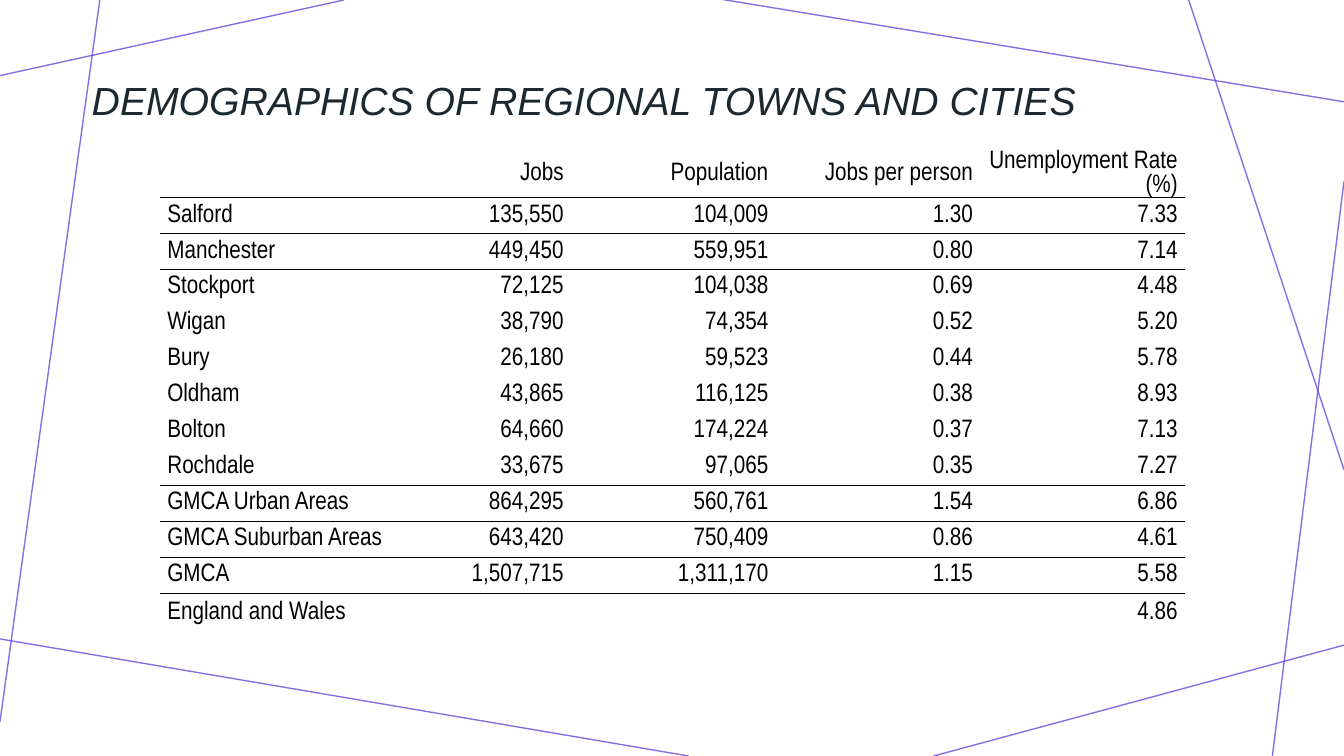
import pptx
import pptx.util
import pptx.dml.color
import pptx.enum.text
import pptx.oxml
import pptx.oxml.ns

Inches, Pt = pptx.util.Inches, pptx.util.Pt
RGBColor = pptx.dml.color.RGBColor
PP_ALIGN, MSO_ANCHOR = pptx.enum.text.PP_ALIGN, pptx.enum.text.MSO_ANCHOR
qn, NS = pptx.oxml.ns.qn, pptx.oxml.ns.nsdecls("a")

VIOLET = RGBColor(0x59, 0x2F, 0xD9)
INK = RGBColor(0x1B, 0x28, 0x30)
BLACK = RGBColor(0, 0, 0)

TITLE = "DEMOGRAPHICS OF REGIONAL TOWNS AND CITIES"
ROWS = [
    ("", "Jobs", "Population", "Jobs per person", "Unemployment Rate (%)"),
    ("Salford", "135,550", "104,009", "1.30", "7.33"),
    ("Manchester", "449,450", "559,951", "0.80", "7.14"),
    ("Stockport", "72,125", "104,038", "0.69", "4.48"),
    ("Wigan", "38,790", "74,354", "0.52", "5.20"),
    ("Bury", "26,180", "59,523", "0.44", "5.78"),
    ("Oldham", "43,865", "116,125", "0.38", "8.93"),
    ("Bolton", "64,660", "174,224", "0.37", "7.13"),
    ("Rochdale", "33,675", "97,065", "0.35", "7.27"),
    ("GMCA Urban Areas", "864,295", "560,761", "1.54", "6.86"),
    ("GMCA Suburban Areas", "643,420", "750,409", "0.86", "4.61"),
    ("GMCA", "1,507,715", "1,311,170", "1.15", "5.58"),
    ("England and Wales", "", "", "", "4.86"),
]
RULED_BELOW = {0, 1, 8, 9, 10, 11}
COL_WIDTHS = [2.8, 1.27, 2.03, 2.03, 2.03]
ROW_HEIGHTS = [0.47] + [0.357] * (len(ROWS) - 2) + [0.39]
BACKDROP_LINES = [
    (3.41, 0, 0, 0.75),
    (0.99, 0, 0, 7.16),
    (6.83, 7.5, -0.05, 6.33),
    (13.33, 6.4, 9.26, 7.5),
    (13.33, 1.8, 12.62, 7.5),
    (13.33, 4.66, 11.79, 0),
    (13.33, 1.01, 7.14, -0.01),
]
TITLE_FONT = {"size": Pt(28), "name": "Arial", "italic": True, "bold": False}
CELL_FONT = {"size": Pt(18), "name": "Arial Narrow"}
CELL_FORMAT = {"margin_left": Inches(0.07), "margin_right": Inches(0.07),
               "margin_top": 0, "margin_bottom": 0,
               "vertical_anchor": MSO_ANCHOR.MIDDLE}
NO_GRID_STYLE = "{2D5ABB26-0587-4C30-8999-92F81FD0307C}"


def apply(target, values):
    """Set each named attribute on the target."""
    for name, value in values.items():
        setattr(target, name, value)


def add_backdrop_line(s, ends):
    """Draw one translucent violet line."""
    line = s.shapes.add_connector(1, *map(Inches, ends))
    line.line.color.rgb = VIOLET
    line.line.width = Pt(1)
    color = line.element.spPr.find(".//" + qn("a:srgbClr"))
    color.append(pptx.oxml.parse_xml(f'<a:alpha {NS} val="70000"/>'))
    line.element.spPr.append(pptx.oxml.parse_xml(f"<a:effectLst {NS}/>"))


def add_rule(cell, side):
    """Give a cell a black border on its top (T) or bottom (B)."""
    cell._tc.get_or_add_tcPr().append(pptx.oxml.parse_xml(
        f'<a:ln{side} {NS} w="12700"><a:solidFill><a:srgbClr val="{BLACK}"/>'
        f'</a:solidFill></a:ln{side}>'))


def add_title(s):
    """Place the title in front of the backdrop lines."""
    title = s.shapes.title
    s.shapes.element.append(title.element)
    apply(title, {"left": Inches(0.81), "top": Inches(0.56),
                  "width": Inches(11.46), "height": Inches(0.93)})
    tf = title.text_frame
    tf.text = TITLE
    apply(tf, {"vertical_anchor": MSO_ANCHOR.MIDDLE, "word_wrap": True})
    p = tf.paragraphs[0]
    apply(p, {"alignment": PP_ALIGN.LEFT, "line_spacing": 0.9})
    apply(p.runs[0].font, TITLE_FONT)
    p.runs[0].font.color.rgb = INK


def fill_cell(cell, text, row, col):
    """Write and format one table cell."""
    apply(cell, CELL_FORMAT)
    if row - 1 in RULED_BELOW:
        add_rule(cell, "T")
    if row in RULED_BELOW:
        add_rule(cell, "B")
    cell.fill.background()
    p = cell.text_frame.paragraphs[0]
    p.alignment = PP_ALIGN.RIGHT if col else PP_ALIGN.LEFT
    p.font.size = CELL_FONT["size"]
    if text:
        r = p.add_run()
        r.text = text
        apply(r.font, CELL_FONT)
        r.font.color.rgb = BLACK


def add_demographics(s):
    """Build the table of towns and cities."""
    frame = s.shapes.add_table(
        len(ROWS), len(COL_WIDTHS), Inches(1.59), Inches(1.49),
        Inches(sum(COL_WIDTHS)), Inches(sum(ROW_HEIGHTS)))
    table = frame.table
    apply(table, {"first_row": False, "horz_banding": False})
    frame.element.find(".//" + qn("a:tableStyleId")).text = NO_GRID_STYLE
    for column, width in zip(table.columns, COL_WIDTHS):
        column.width = Inches(width)
    for i, (height, texts) in enumerate(zip(ROW_HEIGHTS, ROWS)):
        table.rows[i].height = Inches(height)
        for j, text in enumerate(texts):
            fill_cell(table.cell(i, j), text, i, j)


def main():
    """Build and save the slide."""
    prs = pptx.Presentation()
    apply(prs, {"slide_width": Inches(13.33), "slide_height": Inches(7.5)})
    s = prs.slides.add_slide(prs.slide_layouts[5])
    for ends in BACKDROP_LINES:
        add_backdrop_line(s, ends)
    add_title(s)
    add_demographics(s)
    prs.save("out.pptx")


if __name__ == "__main__":
    main()
